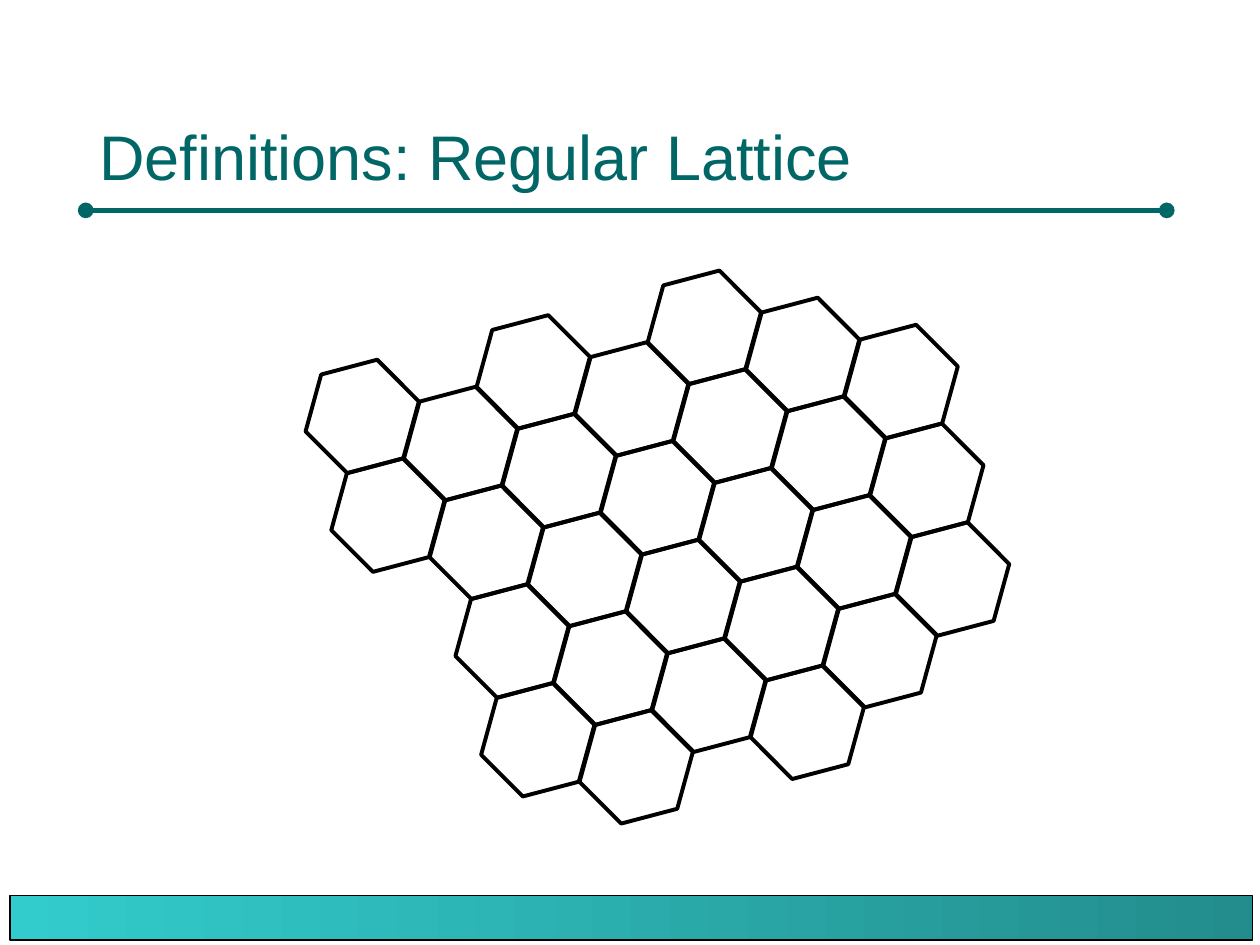
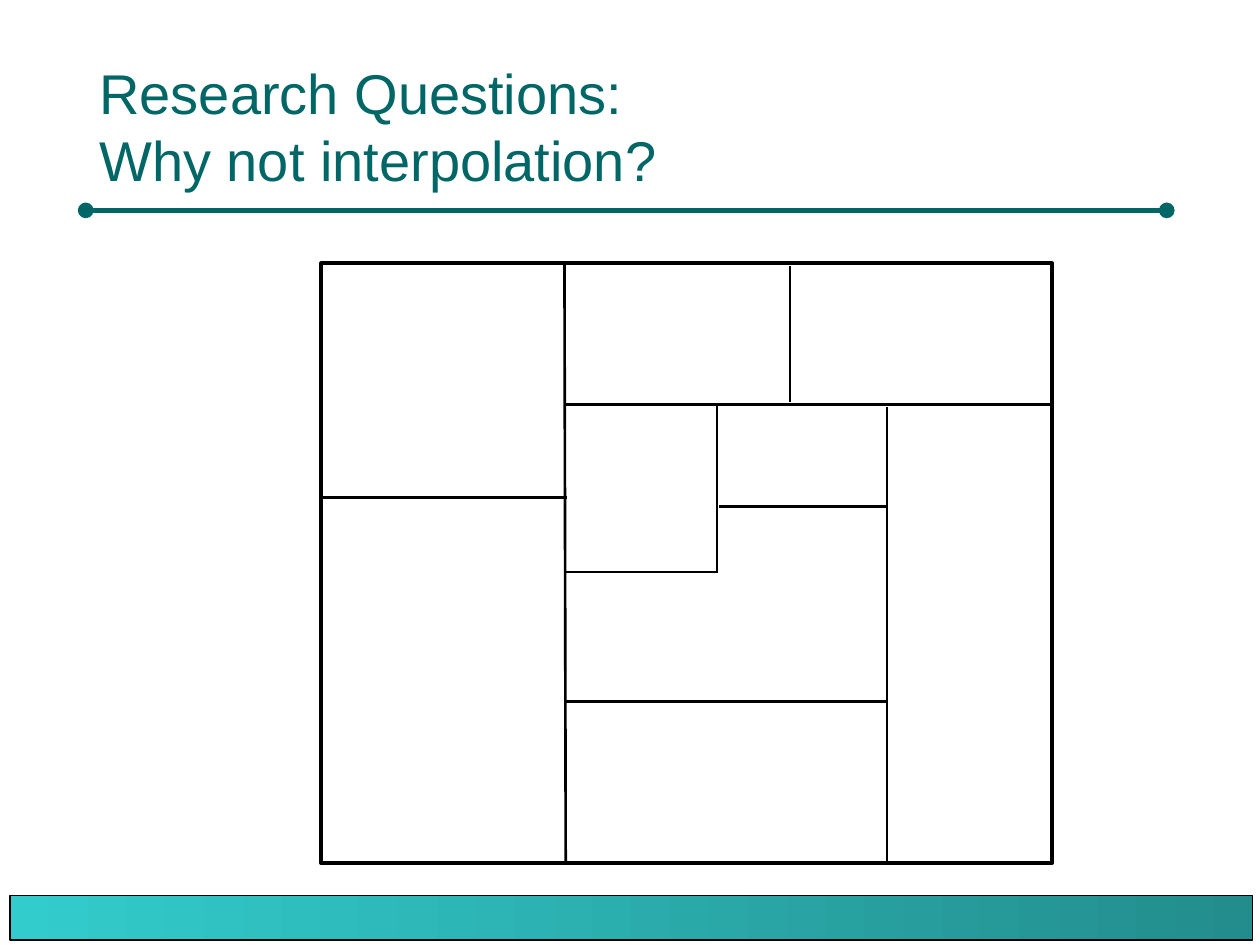
from dataclasses import dataclass
from math import cos, radians, sin
from typing import NamedTuple

from lxml.etree import SubElement
from pptx import Presentation
from pptx.dml.color import RGBColor
from pptx.enum.shapes import MSO_CONNECTOR as Connector, MSO_SHAPE as Preset
from pptx.enum.text import MSO_ANCHOR as Anchor
from pptx.oxml.ns import qn
from pptx.shapes.autoshape import Shape
from pptx.shapes.connector import Connector as Line
from pptx.slide import Slide
from pptx.util import Inches, Pt


@dataclass(frozen=True)
class Theme:
    teal: RGBColor = RGBColor(0x00, 0x66, 0x66)
    black: RGBColor = RGBColor(0x00, 0x00, 0x00)
    band_dark: RGBColor = RGBColor(0x23, 0x8D, 0x8D)
    band_light: RGBColor = RGBColor(0x33, 0xCC, 0xCC)
    font: str = "Arial"
    title_size: float = 36
    long_title_size: float = 32
    rule_width: float = 3
    outline_width: float = 2.25
    border_width: float = 1.5
    band_outline_width: float = 0.75


class Box(NamedTuple):
    left: float
    top: float
    width: float
    height: float


class Segment(NamedTuple):
    x1: float
    y1: float
    x2: float
    y2: float


THEME = Theme()

TITLE_BOX = Box(0.69, 0.33, 8.58, 1.25)
TITLE_RULE = Segment(0.68, 1.67, 9.26, 1.67)
FOOTER_BAND = Box(0.08, 7.11, 9.86, 0.35)

# Lattice cells step along two axes that lie 60 degrees apart.
FIRST_CELL = Box(2.41, 2.9, 0.93, 0.81)
CELL_ROTATION = 345.2
CELL_PITCH = 0.81
COLUMN_ANGLE = radians(15.4)
ROW_ANGLE = radians(75.4)
LATTICE_ROWS: dict[int, range] = {
    -2: range(4, 7),
    -1: range(2, 7),
    0: range(0, 7),
    1: range(0, 6),
    2: range(1, 5),
    3: range(1, 3),
}

REGION = Box(2.55, 2.09, 5.8, 4.76)
ZONE_BORDERS = (
    Segment(4.48, 2.08, 4.49, 6.84),
    Segment(2.56, 3.95, 4.5, 3.95),
    Segment(4.48, 3.21, 8.33, 3.21),
    Segment(6.27, 2.11, 6.27, 3.19),
    Segment(5.69, 3.21, 5.69, 4.55),
    Segment(5.7, 4.54, 4.48, 4.54),
    Segment(7.04, 3.23, 7.04, 6.85),
    Segment(5.71, 4.02, 7.04, 4.02),
    Segment(4.48, 5.57, 7.03, 5.57),
)


def add_outline(slide: Slide, preset: Preset, box: Box, width: float) -> Shape:
    """Add an unfilled preset shape with a black outline."""
    shape = slide.shapes.add_shape(preset, *map(Inches, box))
    shape.shadow.inherit = False
    shape.fill.background()
    shape.line.color.rgb = THEME.black
    shape.line.width = Pt(width)
    return shape


def add_line(slide: Slide, segment: Segment, color: RGBColor, width: float) -> Line:
    line = slide.shapes.add_connector(Connector.STRAIGHT, *map(Inches, segment))
    line.line.color.rgb = color
    line.line.width = Pt(width)
    SubElement(line._element.spPr, qn("a:effectLst"))
    return line


def add_text(slide: Slide, text: str, box: Box, *, size: float,
             color: RGBColor, anchor: Anchor) -> None:
    frame = slide.shapes.add_textbox(*map(Inches, box)).text_frame
    frame.word_wrap = True
    frame.vertical_anchor = anchor
    paragraph = frame.paragraphs[0]
    paragraph.text = text
    for run in paragraph.runs:
        run.font.name = THEME.font
        run.font.size = Pt(size)
        run.font.color.rgb = color


def add_titled_slide(presentation: Presentation, title: str, size: float) -> Slide:
    """Add a slide with the shared title, dotted rule and footer band."""
    slide = presentation.slides.add_slide(presentation.slide_layouts[6])
    rule = add_line(slide, TITLE_RULE, THEME.teal, THEME.rule_width)
    for end in ("a:headEnd", "a:tailEnd"):
        SubElement(rule.line._get_or_add_ln(), qn(end), type="oval")
    band = add_outline(slide, Preset.RECTANGLE, FOOTER_BAND, THEME.band_outline_width)
    band.fill.gradient()
    band.fill.gradient_angle = 180
    for stop, color in zip(band.fill.gradient_stops, (THEME.band_dark, THEME.band_light)):
        stop.color.rgb = color
    add_text(slide, title, TITLE_BOX, size=size, color=THEME.teal, anchor=Anchor.BOTTOM)
    return slide


def add_lattice(slide: Slide) -> None:
    for row, columns in LATTICE_ROWS.items():
        for column in columns:
            right = CELL_PITCH * (column * cos(COLUMN_ANGLE) + row * cos(ROW_ANGLE))
            down = CELL_PITCH * (column * sin(COLUMN_ANGLE) + row * sin(ROW_ANGLE))
            box = FIRST_CELL._replace(left=FIRST_CELL.left + right, top=FIRST_CELL.top + down)
            cell = add_outline(slide, Preset.HEXAGON, box, THEME.outline_width)
            cell.adjustments[0] = 0.29
            cell.rotation = CELL_ROTATION


def add_zone_map(slide: Slide) -> None:
    add_outline(slide, Preset.RECTANGLE, REGION, THEME.outline_width)
    for border in ZONE_BORDERS:
        add_line(slide, border, THEME.black, THEME.border_width)


def main() -> None:
    presentation = Presentation()
    presentation.slide_width = Inches(10)
    presentation.slide_height = Inches(7.5)
    add_lattice(add_titled_slide(
        presentation, "Definitions: Regular Lattice", THEME.title_size))
    add_zone_map(add_titled_slide(
        presentation, "Research Questions:\vWhy not interpolation?", THEME.long_title_size))
    presentation.save("out.pptx")


if __name__ == "__main__":
    main()
